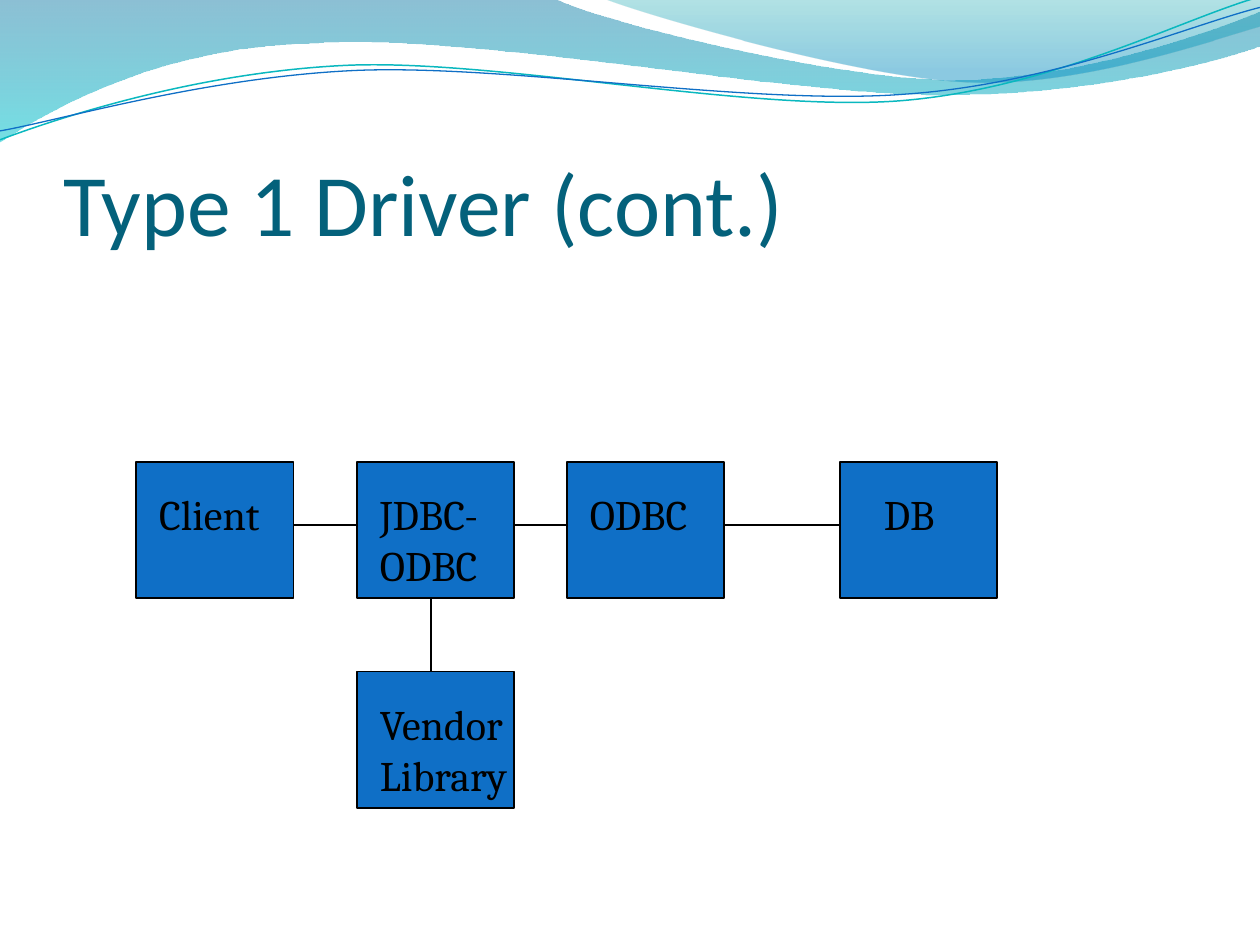
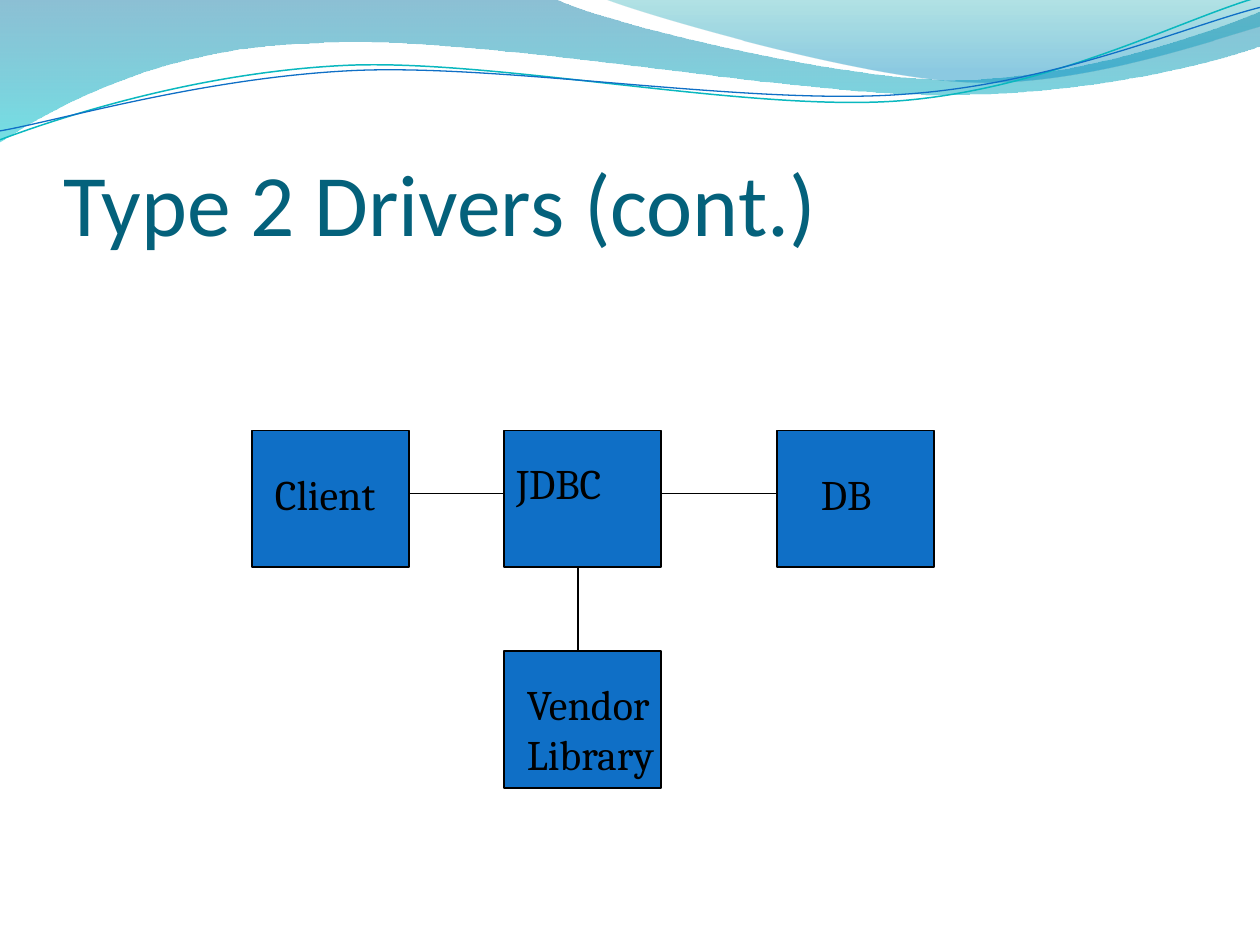
from dataclasses import dataclass
from itertools import pairwise

from lxml.etree import SubElement
from pptx import Presentation
from pptx.dml.color import RGBColor
from pptx.enum.shapes import MSO_CONNECTOR, MSO_SHAPE
from pptx.enum.text import MSO_ANCHOR, MSO_AUTO_SIZE, PP_ALIGN
from pptx.oxml.ns import qn
from pptx.util import Cm, Pt

BLUE = RGBColor(0x0F, 0x6F, 0xC6)
TEAL = RGBColor(0x0A, 0xB8, 0xBF)
TITLE_COLOR = RGBColor(0x04, 0x61, 0x7B)
BLACK = RGBColor(0, 0, 0)
DEEP_BLUE = RGBColor(0x00, 0x74, 0xA1)
TURQUOISE = RGBColor(0x00, 0xC6, 0xCF)
SEA_GREEN = RGBColor(0x00, 0xA1, 0xA9)
SKY_BLUE = RGBColor(0x00, 0x8B, 0xBF)

TITLE_FONT = "Calibri"
BODY_FONT = "Cambria"
BOX_WIDTH, BOX_HEIGHT = 3.17, 2.75
LABEL_HEIGHT, TWO_LINE_HEIGHT = 1.27, 2.29
LINK_DROP = 1.27
LIBRARY_LINK_SHIFT = 1.49
CURVE_ROTATION = -2.7

BROAD_WAVE = [
    [(0, 0)], [(11.18, -0.03)],
    [(12.09, 0.43), (16.87, 1.6), (19.25, 1.6)],
    [(21.67, 1.6), (24.33, 0.66), (25.4, 0.23)],
    [(25.43, 0.91)],
    [(24.97, 1.12), (22.1, 1.93), (18.95, 1.91)],
    [(15.8, 1.91), (9.7, 0.71), (6.53, 0.86)],
    [(3.28, 0.91), (1.17, 2.11), (-0.03, 2.87)],
    [(0, 0)],
]
RIGHT_WAVE = [
    [(12.17, -0.03)],
    [(12.93, 0.28), (17.32, 1.57), (19.53, 1.65)],
    [(21.74, 1.75), (24.41, 0.81), (25.4, 0.53)],
    [(25.4, 0)], [(12.17, -0.03)],
]
TEAL_CURVE = [
    [(-0.05, 2.22)],
    [(1.19, 1.82), (4.02, 1.04), (7.04, 1.05)],
    [(10.05, 1.07), (15.02, 2.37), (18.08, 2.29)],
    [(21.13, 2.2), (23.87, 0.91), (25.4, 0.55)],
]
BLUE_CURVE = [
    [(-0.04, 2.04)],
    [(1.16, 1.89), (4.17, 1.15), (7.2, 1.16)],
    [(10.25, 1.18), (15.13, 2.25), (18.19, 2.16)],
    [(21.22, 2.1), (23.93, 1.06), (25.45, 0.75)],
]


@dataclass
class Box:
    """A box in the diagram and the place of its label inside it."""
    label: str
    left: float
    top: float = 0
    label_left: float = 0.21
    label_top: float = 0.42
    label_width: float = 3.39
    label_height: float = LABEL_HEIGHT


def add_outline(slide, segments, close):
    """Add a freeform of lines (one point) and cubic curves (three points)."""
    (start,), *rest = segments
    points = [(Cm(x), Cm(y)) for segment in rest for x, y in segment]
    builder = slide.shapes.build_freeform(Cm(start[0]), Cm(start[1]))
    builder.add_line_segments(points, close=close)
    shape = builder.convert_to_shape()
    shape.shadow.inherit = False
    nodes = iter(list(shape.element.iter(qn("a:lnTo"))))
    for segment in rest:
        first, *others = [next(nodes) for _ in segment]
        if others:
            first.tag = qn("a:cubicBezTo")
        for node in others:
            first.append(node[0])
            node.getparent().remove(node)
    return shape


def add_wave(slide, segments, stops):
    """Add a wave with a downward gradient of (position, colour, opacity)."""
    shape = add_outline(slide, segments, close=True)
    shape.line.fill.background()
    shape.fill.gradient()
    shape.fill.gradient_angle = 270
    for stop, (position, color, _) in zip(shape.fill.gradient_stops, stops):
        stop.position = position
        stop.color.rgb = color
    gradient = shape.element.spPr.find(qn("a:gradFill"))
    for color_node, (_, _, opacity) in zip(gradient.iter(qn("a:srgbClr")), stops):
        SubElement(color_node, qn("a:alpha"), val=str(opacity * 1000))
    return shape


def add_curve(slide, segments, color, width):
    """Add an open curved line, slightly tilted."""
    shape = add_outline(slide, segments, close=False)
    shape.rotation = CURVE_ROTATION
    shape.fill.background()
    shape.line.color.rgb = color
    shape.line.width = Pt(width)
    return shape


def add_master_waves(slide):
    """Draw the header waves and move them to the back of the slide master."""
    waves = [
        add_wave(slide, BROAD_WAVE, [(0, DEEP_BLUE, 45), (1, TURQUOISE, 55)]),
        add_wave(slide, RIGHT_WAVE, [(0, SEA_GREEN, 30), (0.8, SKY_BLUE, 45)]),
        add_curve(slide, TEAL_CURVE, TEAL, 0.85),
        add_curve(slide, BLUE_CURVE, BLUE, 0.75),
    ]
    master_tree = slide.slide_layout.slide_master.shapes.element
    for index, wave in enumerate(waves):
        wave.element.nvSpPr.cNvPr.set("id", str(100 + index))
        master_tree.insert(2 + index, wave.element)


def style_text(frame, text, font_name, size, color):
    """Fill a text frame with one left-aligned paragraph."""
    frame.text = text
    frame.word_wrap = True
    paragraph = frame.paragraphs[0]
    paragraph.alignment = PP_ALIGN.LEFT
    paragraph.font.name = font_name
    paragraph.font.size = Pt(size)
    paragraph.font.color.rgb = color


def format_title(title, text):
    """Place and style the title placeholder."""
    title.left, title.top, title.width, title.height = (
        Cm(1.27), Cm(1.95), Cm(23.07), Cm(3.17))
    frame = title.text_frame
    frame.auto_size = MSO_AUTO_SIZE.NONE
    frame.vertical_anchor = MSO_ANCHOR.BOTTOM
    frame.margin_left = frame.margin_right = frame.margin_bottom = 0
    frame.margin_top = Cm(0.13)
    style_text(frame, text, TITLE_FONT, 50, TITLE_COLOR)


def add_box(slide, left, top, box):
    """Add one box and its label relative to the diagram's corner."""
    box_left, box_top = left + box.left, top + box.top
    shape = slide.shapes.add_shape(
        MSO_SHAPE.RECTANGLE, Cm(box_left), Cm(box_top),
        Cm(BOX_WIDTH), Cm(BOX_HEIGHT))
    shape.shadow.inherit = False
    shape.fill.solid()
    shape.fill.fore_color.rgb = BLUE
    shape.line.color.rgb = BLACK
    shape.line.width = Pt(1)
    label = slide.shapes.add_textbox(
        Cm(box_left + box.label_left), Cm(box_top + box.label_top),
        Cm(box.label_width), Cm(box.label_height))
    label.text_frame.auto_size = MSO_AUTO_SIZE.SHAPE_TO_FIT_TEXT
    style_text(label.text_frame, box.label, BODY_FONT, 24, BLACK)


def add_link(slide, start_x, start_y, end_x, end_y):
    """Add a plain black line between two points."""
    link = slide.shapes.add_connector(
        MSO_CONNECTOR.STRAIGHT, Cm(start_x), Cm(start_y), Cm(end_x), Cm(end_y))
    link.line.color.rgb = BLACK
    link.line.width = Pt(1)
    SubElement(link.element.spPr, qn("a:effectLst"))


def add_driver_diagram(slide, left, top, chain, library_drop):
    """Link a row of boxes and hang the vendor library under the second."""
    library = Box("Vendor Library", chain[1].left, library_drop,
                  label_height=TWO_LINE_HEIGHT)
    for box in [*chain, library]:
        add_box(slide, left, top, box)
    link_y = top + LINK_DROP
    for before, after in pairwise(chain):
        add_link(slide, left + before.left + BOX_WIDTH, link_y,
                 left + after.left, link_y)
    link_x = left + library.left + LIBRARY_LINK_SHIFT
    add_link(slide, link_x, top + BOX_HEIGHT, link_x, top + library_drop)


def add_driver_slide(presentation, title, **diagram):
    """Add a titled slide with a driver diagram."""
    slide = presentation.slides.add_slide(presentation.slide_layouts[5])
    format_title(slide.shapes.title, title)
    add_driver_diagram(slide, **diagram)
    return slide


def main():
    """Build and save the presentation."""
    presentation = Presentation()
    presentation.slide_width, presentation.slide_height = Cm(25.4), Cm(19.05)
    first_slide = add_driver_slide(
        presentation, "Type 1 Driver (cont.)", left=2.75, top=9.31,
        library_drop=4.23,
        chain=[Box("Client", 0),
               Box("JDBC-ODBC", 4.45, label_height=TWO_LINE_HEIGHT),
               Box("ODBC", 8.68),
               Box("DB", 14.18, label_left=0.64, label_width=1.69)])
    add_master_waves(first_slide)
    add_driver_slide(
        presentation, "Type 2 Drivers (cont.)", left=5.08, top=8.68,
        library_drop=4.45,
        chain=[Box("Client", 0, label_top=0.63, label_width=2.75),
               Box("JDBC", 5.08, label_left=0),
               Box("DB", 10.58, label_left=0.64, label_top=0.63,
                   label_width=2.12)])
    presentation.save("out.pptx")


if __name__ == "__main__":
    main()
